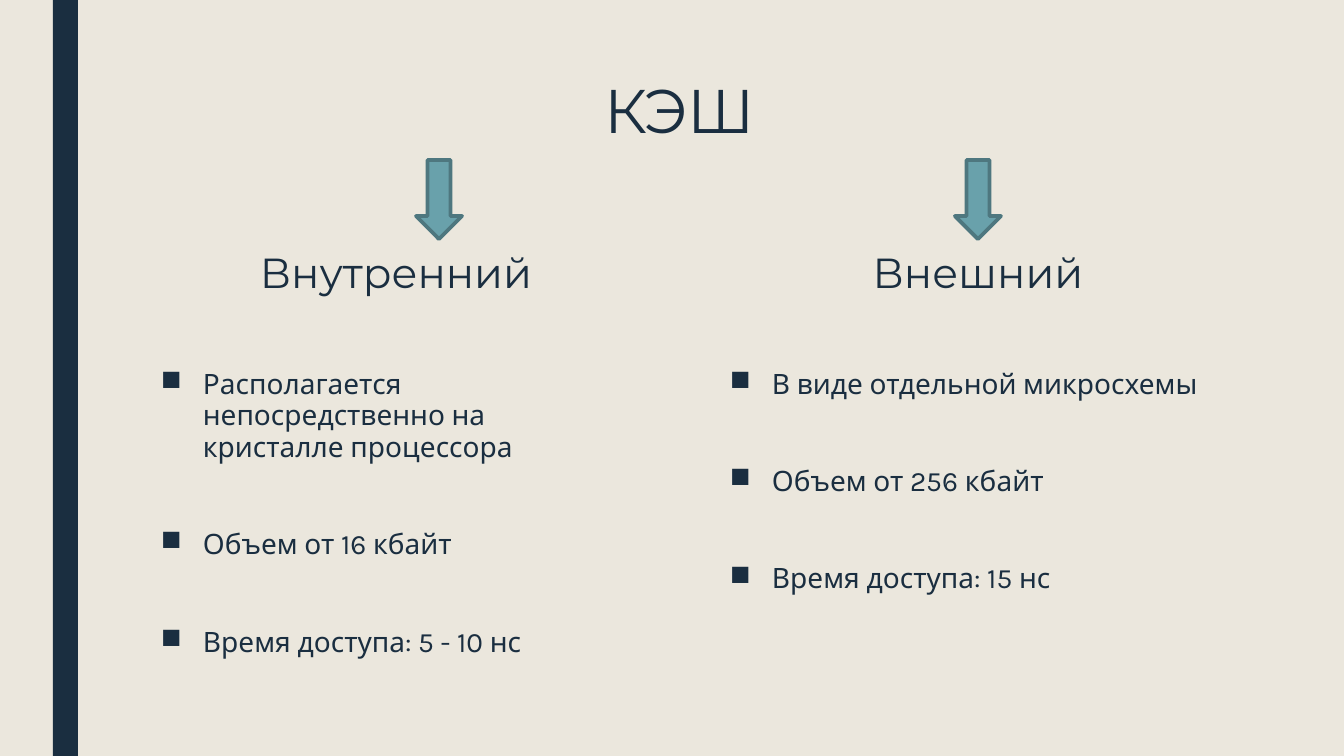
from lxml import etree
from pptx import Presentation
from pptx.dml.color import RGBColor
from pptx.enum.shapes import MSO_SHAPE
from pptx.enum.text import MSO_ANCHOR, MSO_AUTO_SIZE, PP_ALIGN
from pptx.oxml.ns import qn
from pptx.util import Pt

RECTANGLE, DOWN_ARROW = MSO_SHAPE.RECTANGLE, MSO_SHAPE.DOWN_ARROW
TOP, BOTTOM = MSO_ANCHOR.TOP, MSO_ANCHOR.BOTTOM
LEFT, CENTER = PP_ALIGN.LEFT, PP_ALIGN.CENTER
NO_AUTOFIT = MSO_AUTO_SIZE.NONE

PX = 12192000 / 1344
NAVY, TEAL, DARK_TEAL, CREAM = "1A2E40", "69A1AB", "4E777F", "EBE7DD"
COLUMN_WIDTH = 490
INDENT = 42


def px(*lengths):
    return [round(length * PX) for length in lengths]


def write(box, *lines, font, size, spacing, align=CENTER, anchor=TOP,
          bullet=None, gap=0):
    """Fill a shape with one paragraph per line, `gap` points apart."""
    frame = box.text_frame
    frame.word_wrap = True
    frame.auto_size = NO_AUTOFIT
    frame.vertical_anchor = anchor
    for number, line in enumerate(lines):
        paragraph = frame.add_paragraph() if number else frame.paragraphs[0]
        if bullet:
            properties = paragraph._p.get_or_add_pPr()
            indent, = px(INDENT)
            properties.set("marL", str(indent))
            properties.set("indent", str(-indent))
            etree.SubElement(properties, qn("a:buChar")).set("char", bullet)
        paragraph.alignment = align
        paragraph.line_spacing = spacing
        if number:
            paragraph.space_before = Pt(gap)
        run = paragraph.add_run()
        run.text = line
        run.font.name = font
        run.font.size = Pt(size)
        run.font.color.rgb = RGBColor.from_string(NAVY)


presentation = Presentation()
presentation.slide_width, presentation.slide_height = px(1344, 756)
slide = presentation.slides.add_slide(presentation.slide_layouts[5])
slide.background.fill.solid()
slide.background.fill.fore_color.rgb = RGBColor.from_string(CREAM)

side_bar = slide.shapes.add_shape(RECTANGLE, *px(53, 0, 25, 756))
side_bar.shadow.inherit = False
side_bar.fill.solid()
side_bar.fill.fore_color.rgb = RGBColor.from_string(NAVY)
side_bar.line.fill.background()

title = slide.shapes.title
title.left, title.top, title.width, title.height = px(151, 76, 1058, 163)
write(title, "КЭШ", font="Montserrat", size=44, spacing=0.89)

# Heading, heading left, list left, arrow left, facts
caches = [
    ("Внутренний", 151, 151, 416,
     ["Располагается непосредственно на кристалле процессора",
      "Объем от 16 кбайт", "Время доступа: 5 - 10 нс"]),
    ("Внешний", 733, 720, 955,
     ["В виде отдельной микросхемы",
      "Объем от 256 кбайт", "Время доступа: 15 нс"]),
]
for name, heading_left, facts_left, arrow_left, facts in caches:
    heading = slide.shapes.add_textbox(*px(heading_left, 211, COLUMN_WIDTH, 91))
    write(heading, name, font="Montserrat", size=30, spacing=0.84, anchor=BOTTOM)

    fact_list = slide.shapes.add_textbox(*px(facts_left, 364, COLUMN_WIDTH, 315))
    write(fact_list, *facts, font="Karla", size=20, spacing=0.94, align=LEFT,
          bullet="■", gap=47)

    arrow = slide.shapes.add_shape(DOWN_ARROW, *px(arrow_left, 160, 46, 79))
    arrow.shadow.inherit = False
    arrow.fill.solid()
    arrow.fill.fore_color.rgb = RGBColor.from_string(TEAL)
    arrow.line.color.rgb = RGBColor.from_string(DARK_TEAL)
    arrow.line.width = Pt(2.75)

presentation.save("out.pptx")
